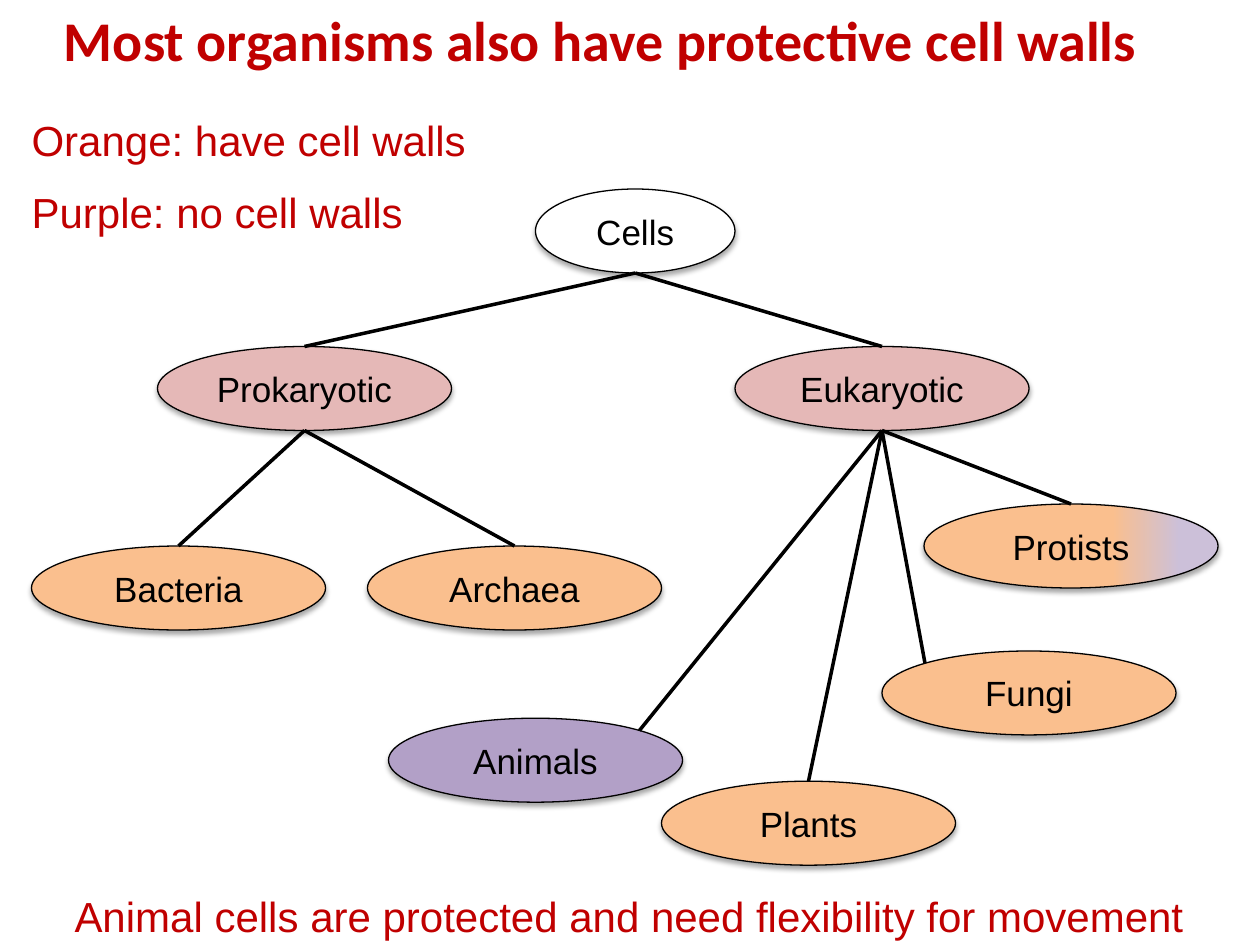
from math import sqrt

from lxml.etree import SubElement
from pptx import Presentation
from pptx.dml.color import RGBColor
from pptx.enum.shapes import MSO_CONNECTOR, MSO_SHAPE
from pptx.enum.text import MSO_ANCHOR, PP_ALIGN
from pptx.oxml.ns import qn
from pptx.util import Pt

BLACK, WHITE, RED = "000000", "FFFFFF", "C00000"
PINK, ORANGE, PURPLE, LILAC = "E5B8B7", "FABF8E", "B2A0C7", "CCC0D9"
NODE_W, NODE_H = 168, 48
TOP = 0  # connection site at the top of an oval

# name: left, top, width, fill
NODES = {
    "Cells": (306, 108, 114, WHITE),
    "Prokaryotic": (90, 198, NODE_W, PINK),
    "Eukaryotic": (420, 198, NODE_W, PINK),
    "Archaea": (210, 312, NODE_W, ORANGE),
    "Bacteria": (18, 312, NODE_W, ORANGE),
    "Plants": (378, 446.4, NODE_W, ORANGE),
    "Fungi": (504, 372, NODE_W, ORANGE),
    "Protists": (528, 288, NODE_W, ORANGE),
    "Animals": (222, 410.4, NODE_W, PURPLE),
}
# parent, child, side of the child's top where the branch ends
BRANCHES = [
    ("Cells", "Prokaryotic", 0),
    ("Cells", "Eukaryotic", 0),
    ("Prokaryotic", "Bacteria", 0),
    ("Prokaryotic", "Archaea", 0),
    ("Eukaryotic", "Animals", 1),
    ("Eukaryotic", "Protists", 0),
    ("Eukaryotic", "Fungi", -1),
    ("Eukaryotic", "Plants", 0),
]


def rgb(color):
    return RGBColor.from_string(color)


def add_run(p, text, size, color, font="Arial", bold=False):
    r = p.add_run()
    r.text = text
    r.font.name, r.font.size, r.font.bold = font, Pt(size), bold
    r.font.color.rgb = rgb(color)


def add_text(s, box, lines, size, font="Arial", bold=False, anchor=MSO_ANCHOR.TOP):
    tf = s.shapes.add_textbox(*map(Pt, box)).text_frame
    tf.word_wrap = True
    tf.vertical_anchor = anchor
    for i, line in enumerate(lines):
        p = tf.add_paragraph() if i else tf.paragraphs[0]
        if i:
            p.space_before = Pt(12)
        add_run(p, line, size, RED, font, bold)


def add_shadow(sp):
    """Soft shadow straight below the shape."""
    sp.shadow.inherit = False
    effects = sp._element.spPr.find(qn("a:effectLst"))
    shadow = SubElement(effects, qn("a:outerShdw"), blurRad=str(Pt(3.1)),
                        dist=str(Pt(1.8)), dir="5400000", rotWithShape="0")
    color = SubElement(shadow, qn("a:srgbClr"), val=BLACK)
    SubElement(color, qn("a:alpha"), val="35000")


def set_gradient(sp, stops):
    """Left-to-right gradient from (percent, colour) stops."""
    sp.fill.gradient()
    sp.fill.gradient_angle = 0
    stop_list = sp._element.spPr.find(qn("a:gradFill")).find(qn("a:gsLst"))
    for old in list(stop_list):
        stop_list.remove(old)
    for percent, color in stops:
        stop = SubElement(stop_list, qn("a:gs"), pos=str(percent * 1000))
        SubElement(stop, qn("a:srgbClr"), val=color)


def add_node(s, name, left, top, width, fill):
    sp = s.shapes.add_shape(MSO_SHAPE.FLOWCHART_CONNECTOR,
                            Pt(left), Pt(top), Pt(width), Pt(NODE_H))
    sp.fill.solid()
    sp.fill.fore_color.rgb = rgb(fill)
    sp.line.color.rgb = rgb(BLACK)
    sp.line.width = Pt(0.75)
    add_shadow(sp)
    tf = sp.text_frame
    tf.word_wrap = True
    tf.vertical_anchor = MSO_ANCHOR.MIDDLE
    p = tf.paragraphs[0]
    p.alignment = PP_ALIGN.CENTER
    add_run(p, name, 20, BLACK)
    return sp


def add_branch(s, parent, child, side):
    """Line from the parent's bottom to the child's top (0) or upper left/right (-1/1)."""
    x = child.left + child.width / 2 * (1 + side / sqrt(2))
    y = child.top + (child.height / 2 * (1 - 1 / sqrt(2)) if side else 0)
    line = s.shapes.add_connector(
        MSO_CONNECTOR.STRAIGHT, parent.left + parent.width // 2,
        parent.top + parent.height, int(x), int(y))
    if side == 0:
        line.end_connect(child, TOP)
    line.line.color.rgb = rgb(BLACK)
    line.line.width = Pt(2)
    SubElement(line._element.spPr, qn("a:effectLst"))


def main():
    prs = Presentation()
    prs.slide_width, prs.slide_height = Pt(720), Pt(540)
    s = prs.slides.add_slide(prs.slide_layouts[6])
    add_text(s, (29.5, -1.5, 659, 48), ["Most organisms also have protective cell walls"],
             32, "Calibri", True, MSO_ANCHOR.MIDDLE)
    nodes = {name: add_node(s, name, *place) for name, place in NODES.items()}
    set_gradient(nodes["Protists"],
                 [(0, ORANGE), (64, ORANGE), (87, LILAC), (100, LILAC)])
    for parent, child, side in BRANCHES:
        add_branch(s, nodes[parent], nodes[child], side)
    add_text(s, (35.5, 505.5, 655, 36),
             ["Animal cells are protected and need flexibility for movement"], 24)
    add_text(s, (11, 62, 266, 78), ["Orange: have cell walls", "Purple: no cell walls"], 24)
    prs.save("out.pptx")


if __name__ == "__main__":
    main()
